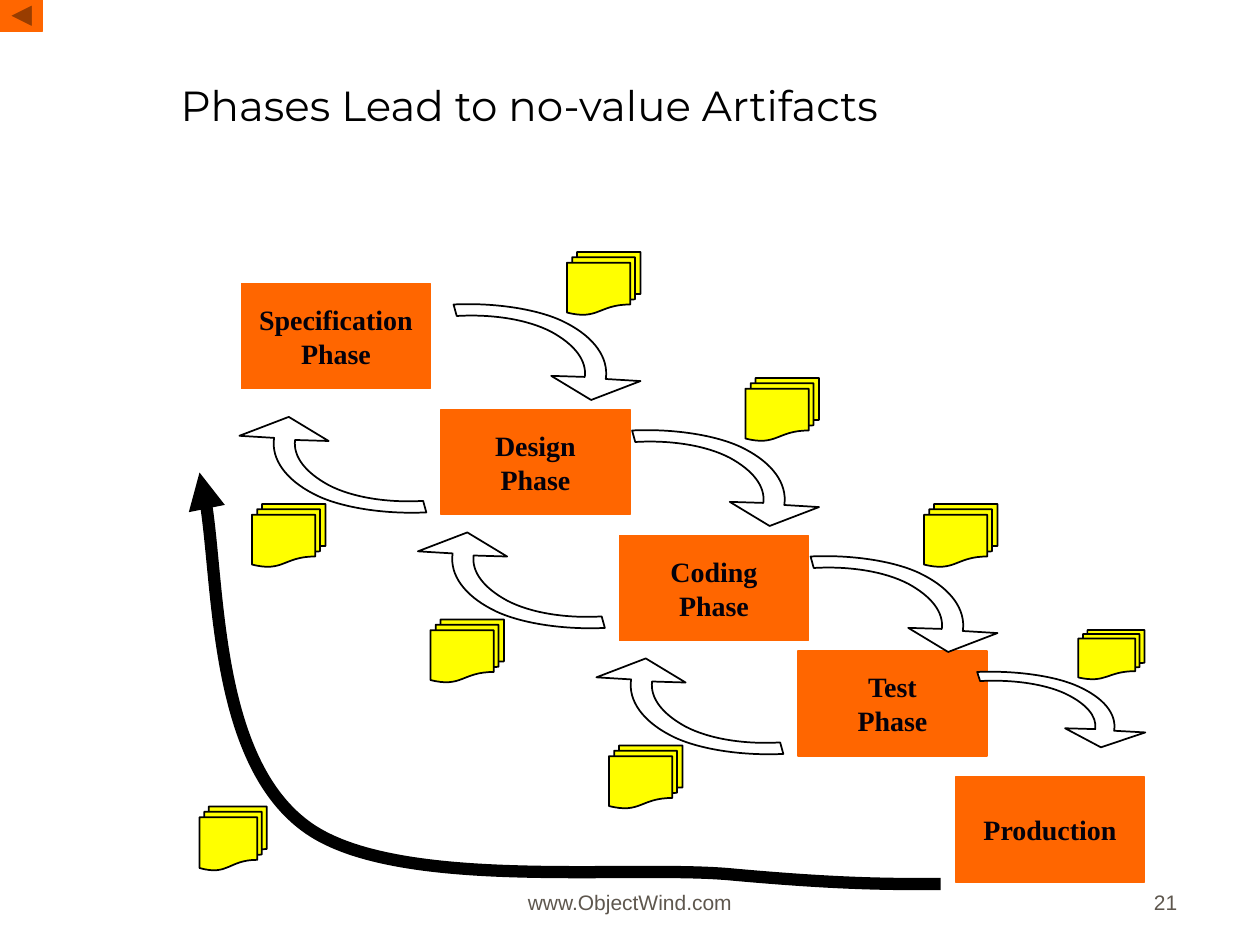
import lxml.etree
import pptx
import pptx.util
import pptx.dml.color
import pptx.enum.shapes
import pptx.enum.text
import pptx.oxml.ns

PX = 7620  # 120 px to the inch
COLORS = {"orange": "FF6600", "yellow": "FFFF00", "white": "FFFFFF",
          "black": "000000", "label": "04010B", "footer": "5E574E"}
SHAPE = pptx.enum.shapes.MSO_SHAPE
ALIGN = pptx.enum.text.PP_ALIGN
ANCHOR = pptx.enum.text.MSO_ANCHOR
qn = pptx.oxml.ns.qn


def style(item, fill=None, line=None, width=1, text=None, size=None, font=None, bold=False):
    """Colour a shape's fill, line and text; what is not named stays as it is."""
    rgb = pptx.dml.color.RGBColor.from_string
    if line:
        item.shadow.inherit = False
        item.line.color.rgb = rgb(COLORS[line])
        item.line.width = pptx.util.Pt(width)
        if fill:
            item.fill.solid()
            item.fill.fore_color.rgb = rgb(COLORS[fill])
        else:
            item.fill.background()
    if text:
        for para in item.text_frame.paragraphs:
            for span in para.runs:
                span.font.size = pptx.util.Pt(size)
                span.font.name = font
                span.font.bold = bold
                span.font.color.rgb = rgb(COLORS[text])


def draw_curve(shapes, box, grid, start, segments, close):
    """Draw lines (one point) and Bezier curves (three points) on a grid stretched over box."""
    x, y, width, height = [value * PX for value in box]
    builder = shapes.build_freeform(0, 0, scale=1.0)
    builder.add_line_segments([(width, height)], close=False)
    curve = builder.convert_to_shape(x, y)
    path = next(curve._element.iter(qn("a:path")))
    for step in list(path):
        path.remove(step)
    path.set("w", str(grid[0]))
    path.set("h", str(grid[1]))
    for number, segment in enumerate([[start]] + segments):
        tag = "a:moveTo" if number == 0 else "a:lnTo" if len(segment) == 1 else "a:cubicBezTo"
        step = lxml.etree.SubElement(path, qn(tag))
        for px, py in segment:
            lxml.etree.SubElement(step, qn("a:pt"), x=str(px), y=str(py))
    if close:
        lxml.etree.SubElement(path, qn("a:close"))
    return curve


deck = pptx.Presentation()
deck.slide_width, deck.slide_height = 1200 * PX, 900 * PX
page = deck.slides.add_slide(deck.slide_layouts[5])
shapes = page.shapes

button = shapes.add_shape(SHAPE.ACTION_BUTTON_BACK_OR_PREVIOUS, 0, 0, 40 * PX, 30 * PX)
style(button, "orange", "orange")

title = shapes.title
title.left, title.top, title.width, title.height = 160 * PX, 0, 1020 * PX, 130 * PX
title.text_frame.text = "Phases Lead to no-value Artifacts"
title.text_frame.auto_size = pptx.enum.text.MSO_AUTO_SIZE.NONE
title.text_frame.vertical_anchor = ANCHOR.BOTTOM
title.text_frame.paragraphs[0].alignment = ALIGN.LEFT
style(title, text="black", size=24, font="Montserrat")

phases = [("Specification\nPhase", 230, 270), ("Design\nPhase", 420, 390),
          ("Coding\nPhase", 590, 510), ("Test\nPhase", 760, 620), ("Production", 910, 740)]
for label, x, y in phases:
    box = shapes.add_shape(SHAPE.FLOWCHART_PROCESS, x * PX, y * PX, 180 * PX, 100 * PX)
    frame = box.text_frame
    frame.text = label
    frame.word_wrap = False
    frame.vertical_anchor = ANCHOR.MIDDLE
    for para in frame.paragraphs:
        para.alignment = ALIGN.CENTER
    style(box, "orange", "orange", text="label", size=16, font="Times New Roman", bold=True)

# Curved arrow: inner edge, tail, outer edge, head
arrow_grid = (258, 128)
arrow_start = (237, 69)
arrow_outline = [
    [(239, 53), (227, 38), (205, 26)],
    [(182, 14), (148, 9), (115, 11)],
    [(112, 0)],
    [(153, -2), (196, 5), (220, 18)],
    [(245, 31), (260, 50), (257, 71)],
    [(290, 73)], [(243, 91)], [(205, 68)],
]
# Each hand-over: arrow box, its rotation, box of the artifacts passed on
handovers = [
    ((320, 290, 258, 128), 0, (540, 240, 70, 60)),
    ((490, 410, 258, 128), 0, (710, 360, 70, 60)),
    ((660, 530, 258, 128), 0, (880, 480, 70, 60)),
    ((830, 640, 232, 101), 0, (1027, 600, 63, 47)),
    ((430, 470, 258, 128), 180, (410, 590, 70, 60)),
    ((260, 360, 258, 128), 180, (240, 480, 70, 60)),
    (None, 0, (190, 768, 64, 61)),
    ((600, 590, 258, 128), 180, (580, 710, 70, 60)),
]
for arrow_box, rotation, papers_box in handovers:
    group = shapes.add_group_shape()
    if arrow_box:
        arrow = draw_curve(group.shapes, arrow_box, arrow_grid, arrow_start, arrow_outline, True)
        arrow.rotation = rotation
        style(arrow, "white", "black")
    papers = group.shapes.add_shape(SHAPE.FLOWCHART_MULTIDOCUMENT,
                                    *[value * PX for value in papers_box])
    style(papers, "yellow", "black")
    if not arrow_box:
        feedback = draw_curve(group.shapes, (190, 450, 700, 400), (700, 400), (700, 392), [
            [(655, 392), (609, 392), (509, 383)],
            [(409, 373), (184, 400), (100, 336)],
            [(15, 272), (18, 58), (0, 0)],
        ], False)
        style(feedback, line="black", width=7)
        line = feedback._element.spPr.find(qn("a:ln"))
        line.set("cap", "sq")
        lxml.etree.SubElement(line, qn("a:tailEnd"), type="triangle")

for words, x, width, align in [("www.ObjectWind.com", 410, 380, ALIGN.CENTER),
                               ("21", 883, 250, ALIGN.RIGHT)]:
    box = shapes.add_textbox(x * PX, 817 * PX, width * PX, 60 * PX)
    box.text_frame.text = words
    box.text_frame.word_wrap = True
    box.text_frame.vertical_anchor = ANCHOR.BOTTOM
    box.text_frame.paragraphs[0].alignment = align
    style(box, text="footer", size=12, font="Arial")

deck.save("out.pptx")
